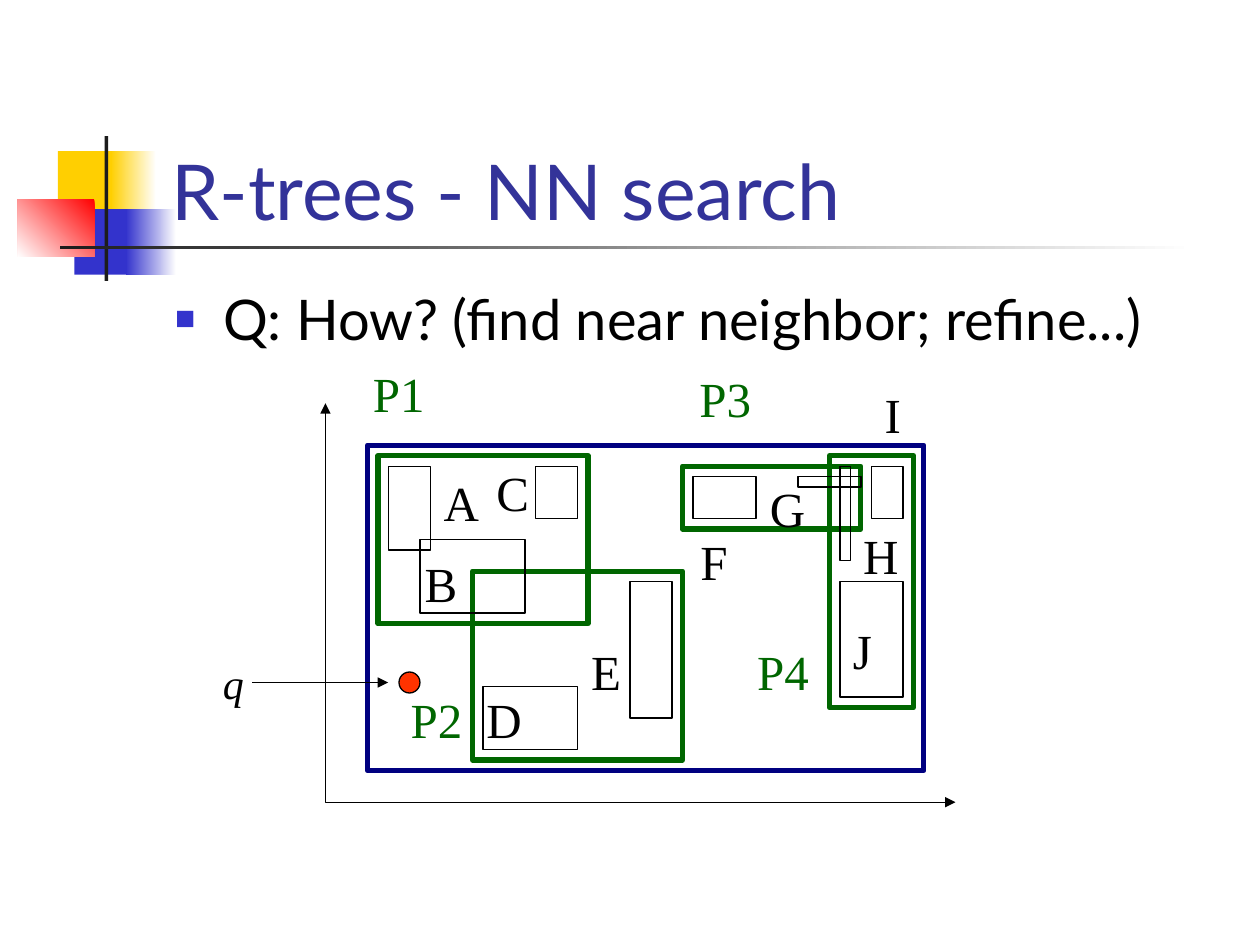
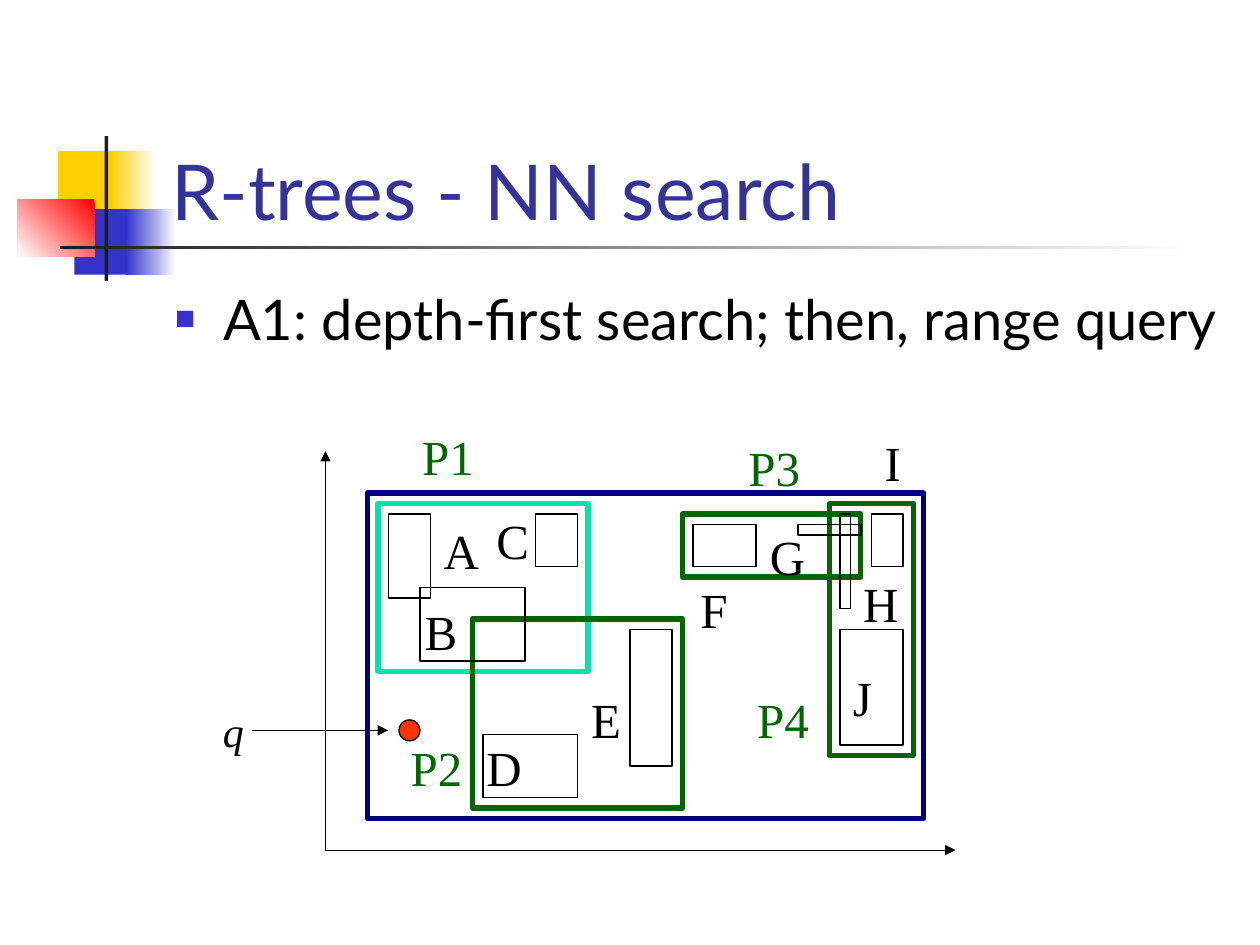
import pptx
import pptx.dml.color
import pptx.enum.shapes
import pptx.enum.text
import pptx.oxml
import pptx.oxml.ns
import pptx.util
from lxml import etree

Inches = pptx.util.Inches
Pt = pptx.util.Pt
qn = pptx.oxml.ns.qn
PRESET = pptx.enum.shapes.MSO_SHAPE
ANCHOR = pptx.enum.text.MSO_ANCHOR
ALIGN = pptx.enum.text.PP_ALIGN
FIT = pptx.enum.text.MSO_AUTO_SIZE

BLUE, NAVY, GREEN, MINT = "3333CC", "000080", "006600", "00E4A8"
YELLOW, RED, DOT_RED = "FFCF01", "FF0000", "FF3300"
WHITE, BLACK, CHARCOAL, TITLE_BLUE = "FFFFFF", "000000", "1C1C1C", "333399"
CELL = 1 / 12
PLOT_LEFT = 31 * CELL


def rgb(hex_colour):
    return pptx.dml.color.RGBColor.from_string(hex_colour)


def write(holder, text, size=28, font="Times New Roman", colour=BLACK, italic=False,
          align=ALIGN.LEFT, anchor=ANCHOR.TOP, before=0, wrap=True, fit=FIT.NONE):
    frame = holder.text_frame
    frame.word_wrap = wrap
    frame.auto_size = fit
    frame.vertical_anchor = anchor
    paragraph = frame.paragraphs[0]
    paragraph.alignment = align
    paragraph.space_before = Pt(before)
    run = paragraph.add_run()
    run.text = text
    run.font.size = Pt(size)
    run.font.name = font
    run.font.italic = italic
    run.font.color.rgb = rgb(colour)
    return paragraph


bands = [
    (0.46, 1.2, 0.48, 0.52, [YELLOW], 0),
    (0.88, 1.2, 0.36, 0.52, [WHITE, YELLOW], 180),
    (0.59, 1.66, 0.46, 0.52, [BLUE], 0),
    (1, 1.66, 0.4, 0.52, [WHITE, BLUE], 180),
    (0.14, 1.58, 0.61, 0.46, [RED, WHITE], 225),
    (0.83, 1.08, 0.03, 1.15, [CHARCOAL], 0),
    (0.48, 1.95, 9, 0.03, [WHITE, CHARCOAL], 180),
]

regions = {
    "P1": (5, 5, 20, 16),
    "P4": (48, 5, 8, 24),
    "P2": (14, 16, 20, 18),
    "P3": (34, 6, 17, 6),
}
items = [
    (6, 6, 4, 8), (20, 6, 4, 5), (9, 13, 10, 7), (15, 27, 9, 6), (29, 17, 4, 13),
    (35, 7, 6, 4), (49, 17, 6, 11), (52, 6, 3, 5), (45, 7, 6, 1), (49, 6, 1, 9),
]
root = (4, 4, 53, 31)
query_dot = (7, 25.6, 2, 2)

item_labels = [
    ("A", 3.42, 0.5, 0.48), ("B", 3.27, 1.14, 0.46), ("C", 3.84, 0.42, 0.46),
    ("D", 3.76, 2.22, 0.48), ("E", 4.59, 1.84, 0.44), ("F", 5.46, 0.97, 0.41),
    ("G", 6.01, 0.55, 0.48), ("H", 6.75, 0.92, 0.48), ("I", 6.92, -0.2, 0.33),
    ("J", 6.67, 1.67, 0.35),
]
fixed_regions = [("P2", 3.16, 2.22), ("P4", 5.91, 1.84)]

steps = [
    ("Q: How? (find near neighbor; refine...)", 3.2, {},
     [("P1", 2.86, -0.37), ("P3", 5.45, -0.33)]),
    ("A1: depth-first search; then, range query", 3.58, {"P1": MINT},
     [("P1", 3.25, -0.25), ("P3", 5.84, -0.16)]),
]

deck = pptx.Presentation()
deck.slide_width, deck.slide_height = Inches(10), Inches(7.5)
layout = deck.slide_layouts[1]
for holder, place in zip(layout.placeholders, [(1.26, 0.67, 8.52, 1.25), (1.29, 2.21, 8.5, 4.5)]):
    holder.left, holder.top, holder.width, holder.height = map(Inches, place)

for number, (question, plot_top, highlights, moved_regions) in enumerate(steps):
    slide = deck.slides.add_slide(layout)
    shapes = slide.shapes

    if number == 0:
        for order, (*place, colours, angle) in enumerate(bands):
            band = shapes.add_shape(PRESET.RECTANGLE, *map(Inches, place))
            band.shadow.inherit = False
            band.line.fill.background()
            if len(colours) == 1:
                band.fill.solid()
                band.fill.fore_color.rgb = rgb(colours[0])
            else:
                band.fill.gradient()
                band.fill.gradient_angle = angle
                for stop, colour in zip(band.fill.gradient_stops, colours):
                    stop.color.rgb = rgb(colour)
            band.element.nvSpPr.cNvPr.set("id", str(20 + order))
            layout.shapes.element.append(band.element)

    write(shapes.title, "R-trees - NN search", size=44, font="Lato", colour=TITLE_BLUE,
          anchor=ANCHOR.BOTTOM)
    bullet = write(slide.placeholders[1], question, size=32, font="Lato", before=8)
    props = bullet._p.get_or_add_pPr()
    props.set("marL", str(Inches(0.38)))
    props.set("indent", str(-Inches(0.38)))
    bullet_colour = etree.SubElement(props, qn("a:buClr"))
    etree.SubElement(bullet_colour, qn("a:srgbClr"), val=BLUE)
    etree.SubElement(props, qn("a:buSzPct"), val="60000")
    etree.SubElement(props, qn("a:buChar"), char="■")

    outlines = [(PRESET.RECTANGLE, cells, highlights.get(name, GREEN), 3, None)
                for name, cells in regions.items()]
    outlines += [(PRESET.RECTANGLE, cells, BLACK, 0.75, None) for cells in items]
    outlines += [(PRESET.RECTANGLE, root, NAVY, 3, None),
                 (PRESET.OVAL, query_dot, BLACK, 0.75, DOT_RED)]
    for preset, (column, row, columns, rows), colour, weight, fill in outlines:
        outline = shapes.add_shape(
            preset, Inches(PLOT_LEFT + column * CELL), Inches(plot_top + row * CELL),
            Inches(columns * CELL), Inches(rows * CELL))
        outline.shadow.inherit = False
        outline.line.color.rgb = rgb(colour)
        outline.line.width = Pt(weight)
        if fill:
            outline.fill.solid()
            outline.fill.fore_color.rgb = rgb(fill)
        else:
            outline.fill.background()

    builder = shapes.build_freeform(0, 0, scale=Inches(1) * CELL)
    builder.add_line_segments([(0, 38), (60, 38)], close=False)
    axes = builder.convert_to_shape(Inches(PLOT_LEFT), Inches(plot_top))
    axes.fill.background()
    axes.shadow.inherit = False

    query_y = Inches(plot_top + 26.6 * CELL)
    query_arrow = shapes.add_connector(
        pptx.enum.shapes.MSO_CONNECTOR.STRAIGHT, Inches(2), query_y, Inches(3.08), query_y)
    for arrow, weight, ends in [(axes, 0.25, ["a:headEnd", "a:tailEnd"]),
                                (query_arrow, 0.75, ["a:tailEnd"])]:
        arrow.line.color.rgb = rgb(BLACK)
        arrow.line.width = Pt(weight)
        for end in ends:
            etree.SubElement(arrow.element.spPr.find(qn("a:ln")), qn(end), type="triangle")
    etree.SubElement(query_arrow.element.spPr, qn("a:effectLst"))

    centred = dict(align=ALIGN.CENTER, anchor=ANCHOR.MIDDLE)
    labels = [(*label, 0.57, centred) for label in item_labels]
    labels += [(*label, 0.61, 0.57, dict(centred, colour=GREEN, before=17.5))
               for label in moved_regions + fixed_regions]
    labels.append(("q", 1.67, 1.97, 0.36, 0.5, dict(size=24, italic=True)))
    for text, left, drop, width, height, style in labels:
        label = shapes.add_textbox(Inches(left), Inches(plot_top + drop),
                                   Inches(width), Inches(height))
        write(label, text, wrap=False, fit=FIT.SHAPE_TO_FIT_TEXT, **style)

deck.save("out.pptx")
